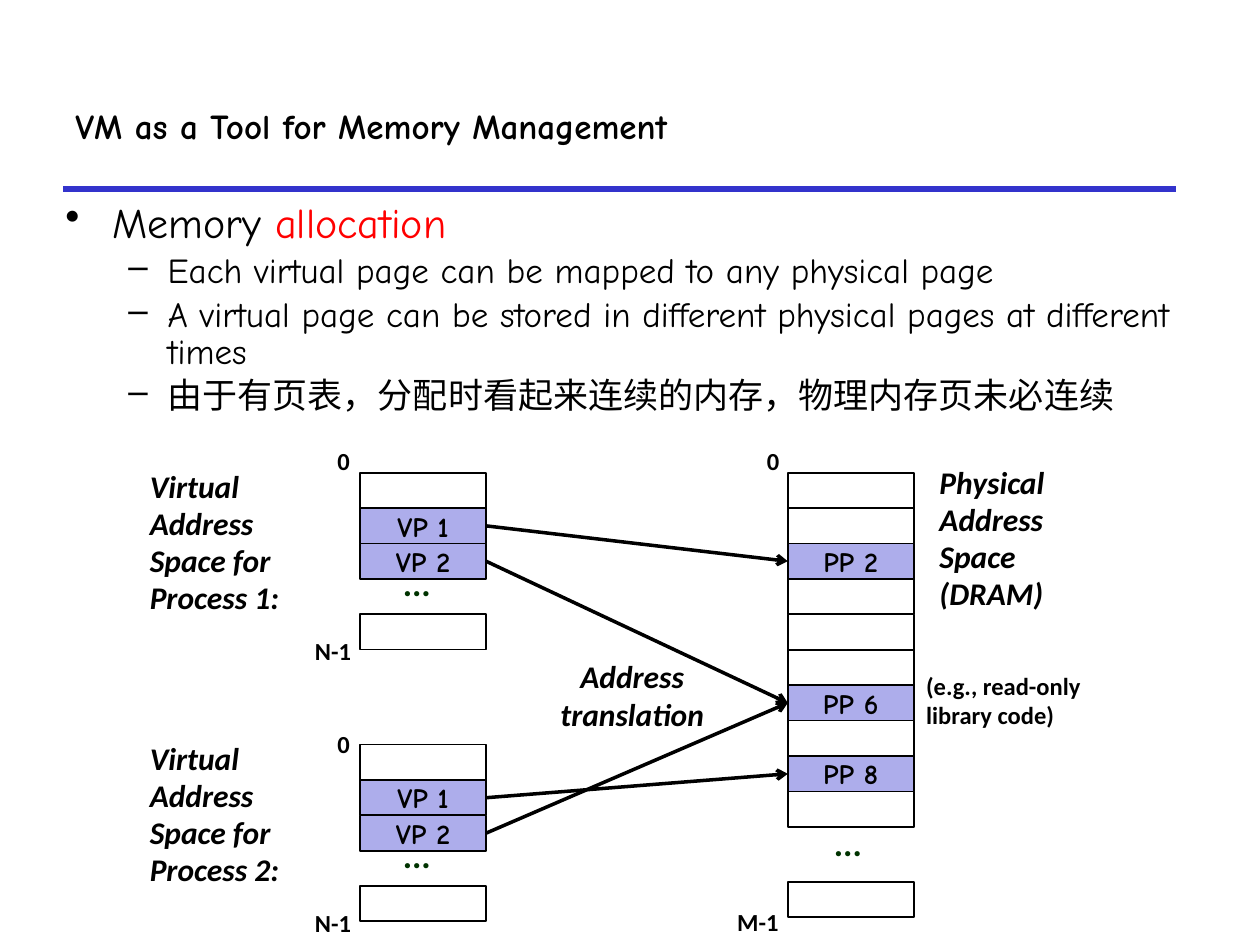
import pptx
import pptx.dml.color
import pptx.enum.shapes
import pptx.enum.text
import pptx.oxml.xmlchemy
import pptx.util
import lxml.etree
from pptx.oxml.ns import qn
from pptx.util import Cm

THEME = {
    "heading_font": "Comic Neue", "label_font": "Calibri",
    "black": "000000", "red": "FF0000", "rule": "3333CC",
    "page": "ADADEB", "dots": "003300",
    "title": 20, "topic": 24, "detail": 20, "name": 18, "cell": 16, "index": 14, "ellipsis": 20,
}

# Content: lengths in centimetres
TITLE = "VM as a Tool for Memory Management"
TOPIC = [("Memory ", "black"), ("allocation", "red")]
DETAILS = [
    "Each virtual page can be mapped to any physical page",
    "A virtual page can be stored in different physical pages at different times",
    "由于有页表，分配时看起来连续的内存，物理内存页未必连续",
]
CELL_WIDTH = 2.54
ROW_HEIGHT = 7.14 / 10
# Each space: left, top, cells before the gap, offset of the last cell, place of the dots
SPACES = {
    "process 1": (7.26, 9.53, ["", "VP 1", "VP 2"], 2.85, (7.87, 11.3)),
    "process 2": (7.26, 15.01, ["", "VP 1", "VP 2"], 2.85, (7.87, 16.79)),
    "memory": (15.88, 9.53, ["", "", "PP 2", "", "", "", "PP 6", "", "PP 8", ""],
               8.25, (16.56, 16.54)),
}
MAPPINGS = [
    (("process 1", "VP 1"), ("memory", "PP 2")),
    (("process 1", "VP 2"), ("memory", "PP 6")),
    (("process 2", "VP 2"), ("memory", "PP 6")),
    (("process 2", "VP 1"), ("memory", "PP 8")),
]
# Text lines and box: left, top, width, height
NAMES = [
    (["Virtual Address Space for Process 1:"], (2.77, 9.32, 3.81, 3.25)),
    (["Virtual Address Space for Process 2:"], (2.77, 14.81, 3.81, 3.25)),
    (["Physical", "Address", "Space (DRAM)"], (18.69, 9.25, 2.97, 3.25)),
]
INDEXES = [
    ("0", (6.55, 8.89, 0.79, 0.84)), ("N-1", (6.1, 12.73, 1.24, 0.84)),
    ("0", (6.55, 14.61, 0.79, 0.84)), ("N-1", (6.1, 18.21, 1.24, 0.84)),
    ("0", (15.21, 8.89, 0.79, 0.84)), ("M-1", (14.61, 18.19, 1.35, 0.84)),
]


def color(name):
    return pptx.dml.color.RGBColor.from_string(THEME[name])


def write(frame, paragraphs, size, font="label_font", ink="black", bold=True, italic=False,
          align=None, spacing=None, before=0, middle=False, wrap=True):
    """Fill a text frame; a paragraph is a string or a list of (text, colour) runs."""
    frame.word_wrap = wrap
    frame.vertical_anchor = (pptx.enum.text.MSO_ANCHOR.MIDDLE if middle
                             else pptx.enum.text.MSO_ANCHOR.TOP)
    for number, content in enumerate(paragraphs):
        paragraph = frame.add_paragraph() if number else frame.paragraphs[0]
        paragraph.alignment = align
        paragraph.line_spacing = spacing
        paragraph.space_before = pptx.util.Pt(before)
        for text, run_ink in [(content, ink)] if isinstance(content, str) else content:
            run = paragraph.add_run()
            run.text = text
            run.font.name = THEME[font]
            run.font.size = pptx.util.Pt(THEME[size])
            run.font.bold, run.font.italic = bold, italic
            run.font.color.rgb = color(run_ink)


def add_text(slide, box, paragraphs, size, **text_format):
    frame = slide.shapes.add_textbox(*map(Cm, box)).text_frame
    write(frame, paragraphs, size, **text_format)
    return frame


def set_bullet(paragraph, character, margin, hanging):
    properties = paragraph._p.get_or_add_pPr()
    properties.set("marL", str(Cm(margin)))
    properties.set("indent", str(-Cm(hanging)))
    lxml.etree.SubElement(properties, qn("a:buChar")).set("char", character)


def add_line(slide, start, end, ink, width, arrow=False):
    connector = slide.shapes.add_connector(pptx.enum.shapes.MSO_CONNECTOR.STRAIGHT, *start, *end)
    connector.line.color.rgb = color(ink)
    connector.line.width = pptx.util.Pt(width)
    if arrow:
        line = connector.line._get_or_add_ln()
        lxml.etree.SubElement(line, qn("a:tailEnd")).set("type", "arrow")
    lxml.etree.SubElement(connector._element.spPr, qn("a:effectLst"))
    return connector


def add_cell(slide, left, top, label):
    shape = slide.shapes.add_shape(pptx.enum.shapes.MSO_SHAPE.RECTANGLE, Cm(left), Cm(top),
                                   Cm(CELL_WIDTH), Cm(ROW_HEIGHT))
    shape.shadow.inherit = False
    shape.line.color.rgb = color("black")
    shape.line.width = pptx.util.Pt(1)
    if label:
        shape.fill.solid()
        shape.fill.fore_color.rgb = color("page")
        write(shape.text_frame, [label], "cell", font="heading_font", middle=True,
              align=pptx.enum.text.PP_ALIGN.CENTER)
    else:
        shape.fill.background()
    return shape


def main():
    presentation = pptx.Presentation()
    presentation.slide_width, presentation.slide_height = Cm(25.4), Cm(19.05)
    slide = presentation.slides.add_slide(presentation.slide_layouts[6])

    # Title and rule
    add_line(slide, (Cm(1.27), Cm(3.81)), (Cm(23.7), Cm(3.81)), "rule", 3)
    add_text(slide, (1.27, 1.27, 23.93, 2.54), [TITLE], "title", font="heading_font", middle=True)

    # Bulleted body
    body = add_text(slide, (1.07, 4.01, 23.7, 5.28), [TOPIC, *DETAILS], "detail",
                    font="heading_font", bold=False, spacing=0.88, before=4)
    topic, *details = body.paragraphs
    topic.line_spacing, topic.space_before = 0.83, pptx.util.Pt(4.8)
    for run in topic.runs:
        run.font.size = pptx.util.Pt(THEME["topic"])
    set_bullet(topic, "•", 0.95, 0.95)
    for paragraph in details:
        paragraph.level = 1
        set_bullet(paragraph, "–", 2.06, 0.79)

    # Address spaces
    pages = {}
    for space, (left, top, labels, last, dots) in SPACES.items():
        for row, label in enumerate(labels):
            pages[space, label] = add_cell(slide, left, top + row * ROW_HEIGHT, label)
        add_cell(slide, left, top + last, "")
        add_text(slide, (*dots, 1.19, 1.14), ["..."], "ellipsis", ink="dots",
                 spacing=0.88, before=9, wrap=False)

    # Mappings from virtual to physical pages
    for source, target in MAPPINGS:
        connector = add_line(slide, (0, 0), (0, 0), "black", 2, arrow=True)
        connector.begin_connect(pages[source], 3)
        connector.end_connect(pages[target], 1)

    # Labels
    for lines, box in NAMES:
        add_text(slide, box, lines, "name", italic=True, spacing=0.98)
    for index, box in INDEXES:
        add_text(slide, box, [index], "index", spacing=0.98, wrap=False)
    add_text(slide, (18.42, 13.44, 4.04, 1.42), ["(e.g., read-only", "library code)"], "index",
             spacing=0.98)
    add_text(slide, (11.02, 13.13, 3.45, 1.8), ["Address", "translation"], "name", italic=True,
             align=pptx.enum.text.PP_ALIGN.CENTER, wrap=False)

    presentation.save("out.pptx")


if __name__ == "__main__":
    main()
